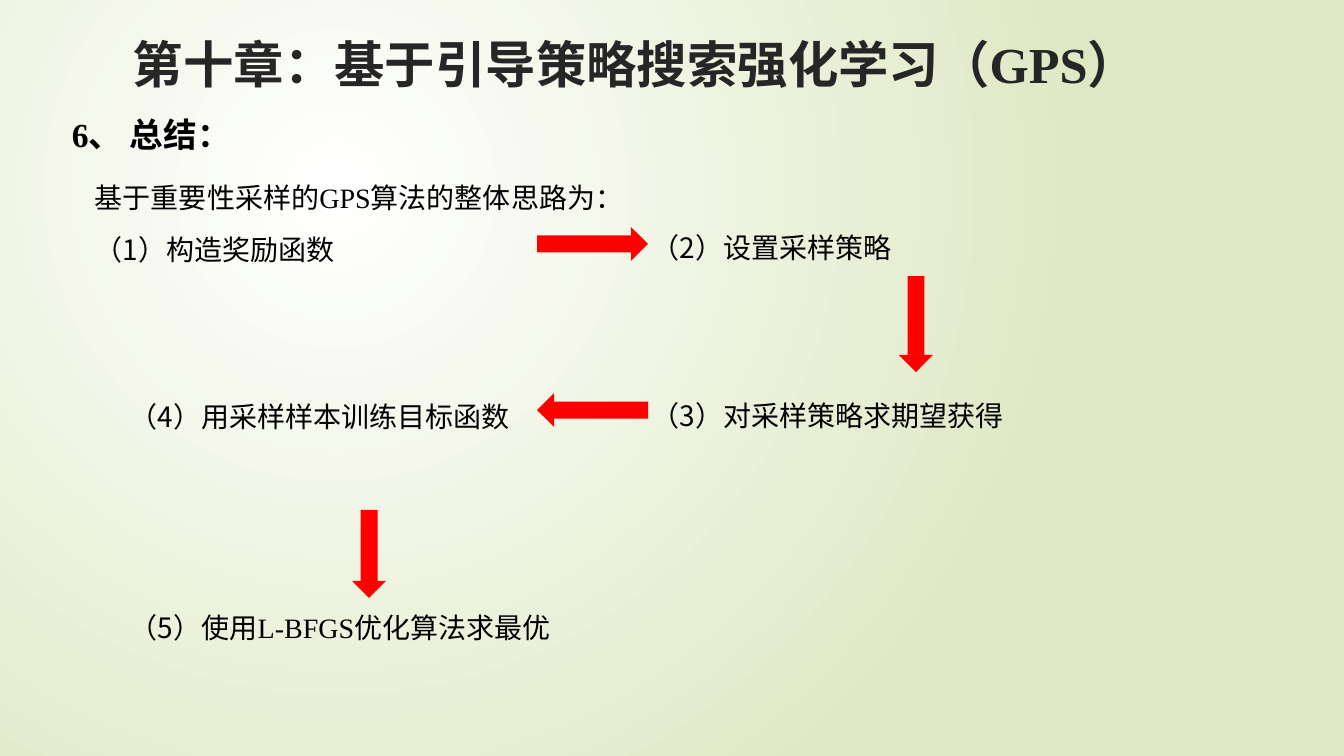
from pptx import Presentation
from pptx.dml.color import RGBColor
from pptx.enum.shapes import MSO_SHAPE as Shape
from pptx.enum.text import MSO_ANCHOR as Anchor, MSO_AUTO_SIZE as AutoSize
from pptx.oxml import parse_xml
from pptx.oxml.ns import nsdecls, qn
from pptx.util import Emu, Pt
from lxml import etree

THEME = {
    "han": "Noto Sans CJK SC", "sans": "Arial", "serif": "Times New Roman",
    "title_size": 36, "heading_size": 24, "body_size": 20,
    "title": "262626", "text": "000000", "arrow": "FF0000",
    "glow": "FFFFFF", "edge": "DFE8C4",
}

TITLE = [("第十章：基于引导策略搜索强化学习（", "sans"), ("GPS", "serif"), ("）", "sans")]
HEADING = [("6", "serif"), ("、 总结：", "han")]
BODY = [
    ((62, 159, 1267, 54), 23,
     [("基于重要性采样的", "han"), ("GPS", "serif"), ("算法的整体思路为：", "han")]),
    ((62, 211, 347, 54), 23, [("（1）构造奖励函数", "han")]),
    ((642, 209, 309, 53), 0, [("（2）设置采样策略", "han")]),
    ((642, 377, 384, 53), 0, [("（3）对采样策略求期望获得", "han")]),
    ((120, 378, 407, 53), 0, [("（4）用采样样本训练目标函数", "han")]),
    ((120, 589, 450, 54), 0, [("（5）使用", "han"), ("L-BFGS优化算法求最优", "serif")]),
]
ARROW_HEIGHT = 34
ARROWS = [
    (537, 227, 111, 0),
    (868, 307, 96, 90),
    (537, 393, 111, 180),
    (325, 537, 88, 90),
]
SLIDE_WIDTH, SLIDE_HEIGHT = 1344, 756


def px(length):
    return Emu(round(length * 12192000 / SLIDE_WIDTH))


def paint_background(slide):
    stops = "".join(
        f'<a:gs pos="{pos}"><a:srgbClr val="{THEME[colour]}"/></a:gs>'
        for pos, colour in ((0, "glow"), (100000, "edge")))
    slide.element.cSld.insert(0, parse_xml(
        f'<p:bg {nsdecls("p", "a")}><p:bgPr><a:gradFill rotWithShape="1">'
        f'<a:gsLst>{stops}</a:gsLst><a:path path="circle">'
        '<a:fillToRect l="50000" t="50000" r="100000" b="100000"/></a:path>'
        '</a:gradFill><a:effectLst/></p:bgPr></p:bg>'))


def add_text(slide, place, runs, size, colour="text", bold=False,
             spacing=1.0, indent=0, wrap=True, anchor=Anchor.TOP):
    frame = slide.shapes.add_textbox(*map(px, place)).text_frame
    frame.word_wrap = wrap
    frame.auto_size = AutoSize.NONE if anchor == Anchor.MIDDLE else AutoSize.SHAPE_TO_FIT_TEXT
    frame.vertical_anchor = anchor
    paragraph = frame.paragraphs[0]
    paragraph.line_spacing = spacing
    if indent:
        properties = paragraph._p.get_or_add_pPr()
        properties.set("marL", str(px(indent)))
        properties.set("indent", "0")
    for words, face in runs:
        run = paragraph.add_run()
        run.text = words
        run.font.size = Pt(THEME[size])
        run.font.bold = bold
        run.font.color.rgb = RGBColor.from_string(THEME[colour])
        run.font.name = THEME[face]
        east_asian = etree.SubElement(run._r.get_or_add_rPr(), qn("a:ea"))
        east_asian.set("typeface", THEME["han"])


def add_arrow(slide, left, top, length, turn):
    arrow = slide.shapes.add_shape(
        Shape.RIGHT_ARROW, px(left), px(top), px(length), px(ARROW_HEIGHT))
    arrow.rotation = turn
    arrow.shadow.inherit = False
    arrow.fill.solid()
    arrow.fill.fore_color.rgb = RGBColor.from_string(THEME["arrow"])
    arrow.line.fill.background()


def main():
    deck = Presentation()
    deck.slide_width, deck.slide_height = px(SLIDE_WIDTH), px(SLIDE_HEIGHT)
    slide = deck.slides.add_slide(deck.slide_layouts[6])
    paint_background(slide)
    add_text(slide, (123, 28, 1097, 71), TITLE, "title_size", "title",
             bold=True, anchor=Anchor.MIDDLE)
    add_text(slide, (62, 109, 181, 50), HEADING, "heading_size", bold=True, wrap=False)
    for place, indent, runs in BODY:
        add_text(slide, place, runs, "body_size", spacing=1.5, indent=indent)
    for arrow in ARROWS:
        add_arrow(slide, *arrow)
    deck.save("out.pptx")


if __name__ == "__main__":
    main()
